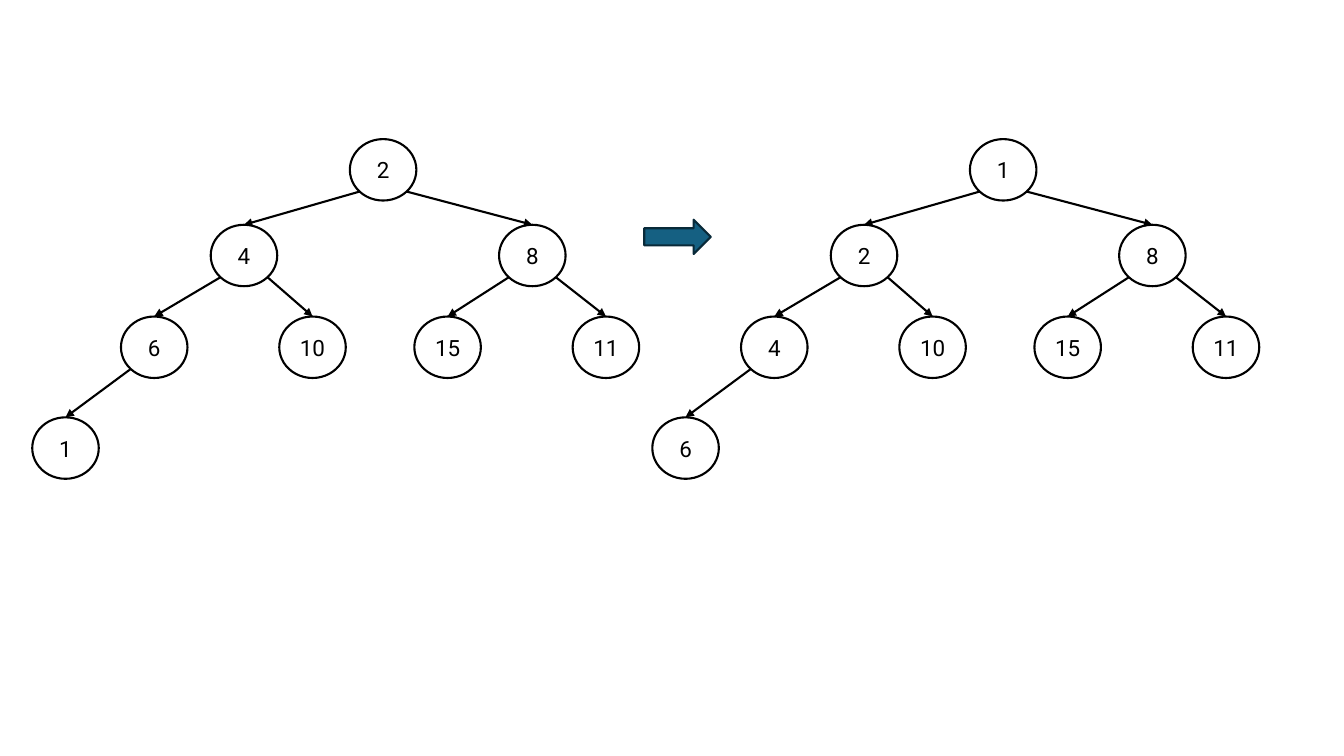
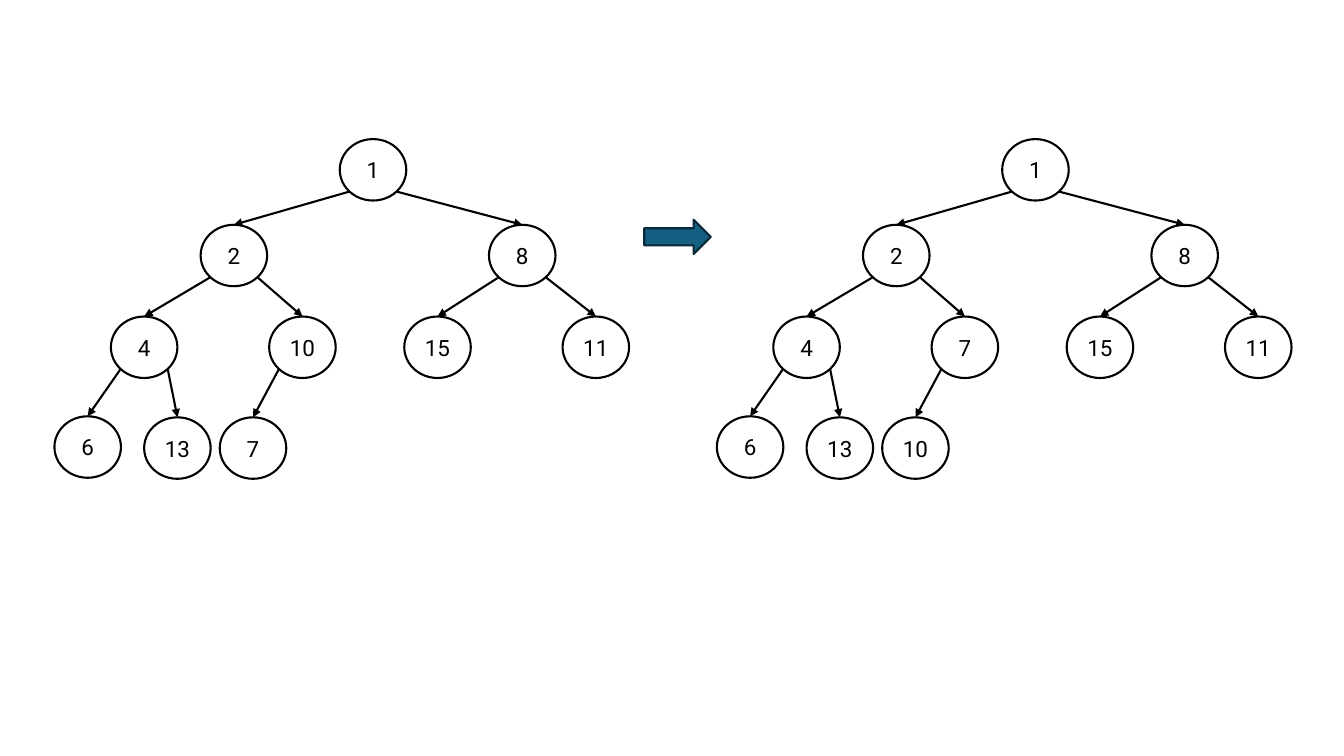
"""Build two slides that show a value sifting up in a binary heap."""
from dataclasses import dataclass
from math import sqrt

from pptx import Presentation
from pptx.dml.color import RGBColor as RGB
from pptx.enum.shapes import MSO_CONNECTOR as LINK, MSO_SHAPE as SHAPE
from pptx.enum.text import MSO_ANCHOR as ANCHOR, PP_ALIGN as ALIGN
from pptx.oxml.ns import qn
from pptx.oxml.xmlchemy import OxmlElement as Tag
from pptx.util import Inches, Pt


@dataclass(frozen=True)
class Theme:
    ink: RGB = RGB.from_string("000000")
    paper: RGB = RGB.from_string("FFFFFF")
    teal: RGB = RGB.from_string("156082")
    navy: RGB = RGB.from_string("092A39")
    font: str = "Roboto"
    size: int = 16
    line: float = 1.5


THEME = Theme()
NODE_W, NODE_H = 0.66, 0.61
ARROW = (6.39, 2.18, 0.66, 0.34)

TOP = [(0, 1.38), (-1.38, 2.23), (1.48, 2.23),
       (-2.27, 3.14), (-0.7, 3.14), (0.64, 3.14), (2.21, 3.14)]

SLIDES = [
    {"leaves": [(-3.15, 4.14)],
     "heaps": [(3.47, [2, 4, 8, 6, 10, 15, 11, 1]),
               (9.62, [1, 2, 8, 4, 10, 15, 11, 6])]},
    {"leaves": [(-2.83, 4.13), (-1.94, 4.14), (-1.19, 4.14)],
     "heaps": [(3.37, [1, 2, 8, 4, 10, 15, 11, 6, 13, 7]),
               (9.94, [1, 2, 8, 4, 7, 15, 11, 6, 13, 10])]},
]


def add_shape(slide, kind, box, fill, line):
    shape = slide.shapes.add_shape(kind, *map(Inches, box))
    shape.shadow.inherit = False
    shape.fill.solid()
    shape.fill.fore_color.rgb = fill
    shape.line.color.rgb = line
    shape.line.width = Pt(THEME.line)
    return shape


def add_node(slide, x, y, value):
    node = add_shape(slide, SHAPE.OVAL, (x, y, NODE_W, NODE_H), THEME.paper, THEME.ink)
    frame = node.text_frame
    frame.margin_left = frame.margin_right = 0
    frame.vertical_anchor = ANCHOR.MIDDLE
    para = frame.paragraphs[0]
    para.alignment = ALIGN.CENTER
    run = para.add_run()
    run.text = str(value)
    run.font.name = THEME.font
    run.font.size = Pt(THEME.size)
    run.font.color.rgb = THEME.ink
    return node


def add_link(slide, node, kid, side):
    """Join the lower left (-1) or lower right (1) of a node to its child's top."""
    x = node.left + round(node.width / 2 * (1 + side / sqrt(2)))
    y = node.top + round(node.height / 2 * (1 + 1 / sqrt(2)))
    link = slide.shapes.add_connector(LINK.STRAIGHT, x, y, kid.left, kid.top)
    link.end_connect(kid, 0)
    link.line.color.rgb = THEME.ink
    link.line.width = Pt(THEME.line)
    head = Tag("a:tailEnd")
    head.set("type", "triangle")
    props = link.element.spPr
    props.find(qn("a:ln")).append(head)
    props.append(Tag("a:effectLst"))


def add_heap(slide, left, spots, values):
    nodes = []
    for i, ((dx, y), value) in enumerate(zip(spots, values)):
        nodes.append(add_node(slide, left + dx, y, value))
        if i:
            add_link(slide, nodes[(i - 1) // 2], nodes[i], -1 if i % 2 else 1)


def main():
    deck = Presentation()
    deck.slide_width, deck.slide_height = Inches(13.33), Inches(7.5)
    for page in SLIDES:
        slide = deck.slides.add_slide(deck.slide_layouts[6])
        for left, values in page["heaps"]:
            add_heap(slide, left, TOP + page["leaves"], values)
        add_shape(slide, SHAPE.RIGHT_ARROW, ARROW, THEME.teal, THEME.navy)
    deck.save("out.pptx")


if __name__ == "__main__":
    main()
